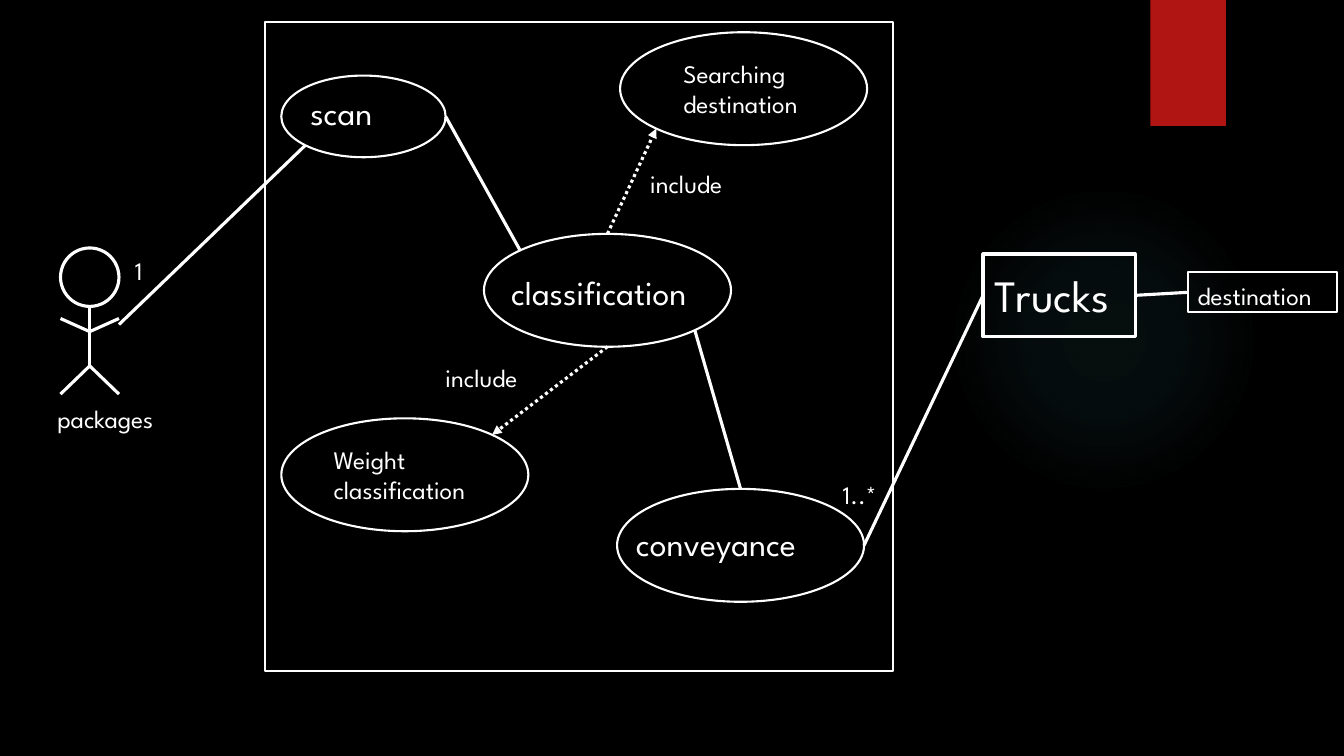
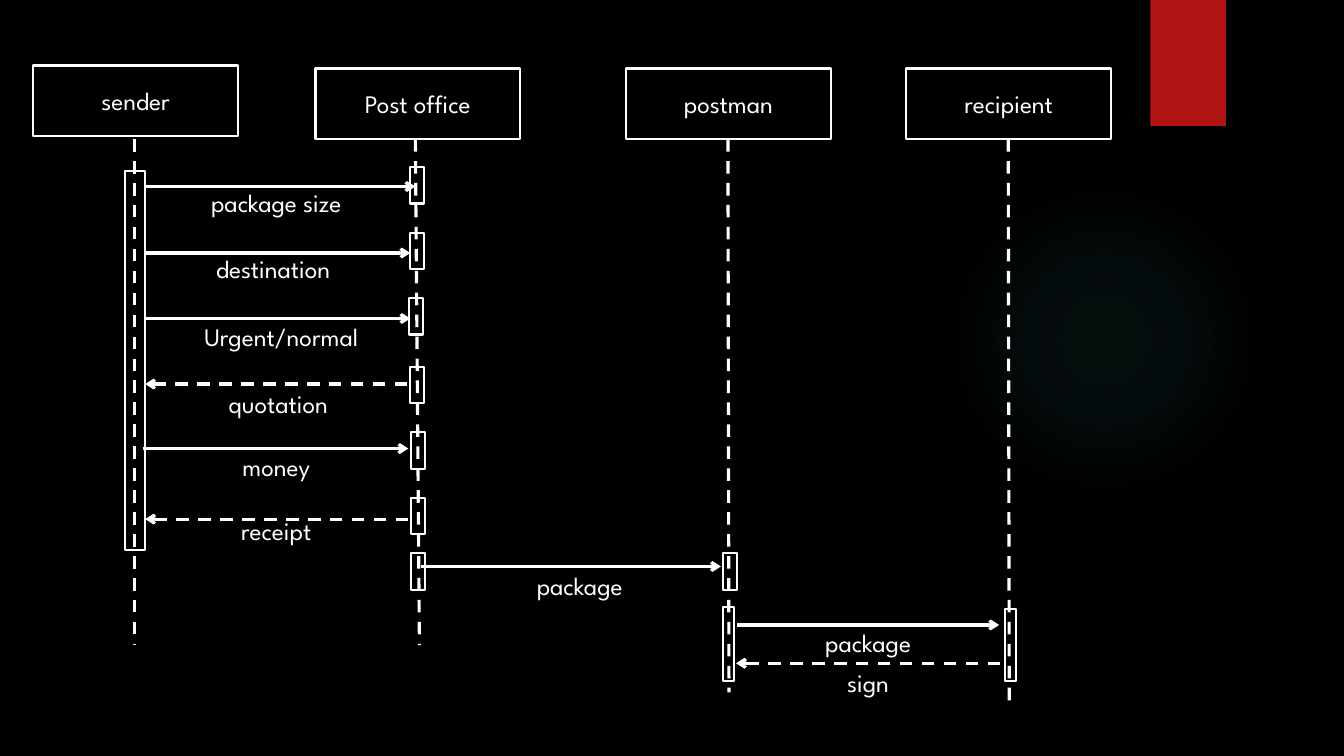
from math import cos, radians, sin
from typing import NamedTuple

from lxml.etree import SubElement
from pptx import Presentation
from pptx.dml.color import RGBColor
from pptx.enum.dml import MSO_LINE as Dash
from pptx.enum.shapes import MSO_CONNECTOR as Link, MSO_SHAPE as Preset
from pptx.enum.text import MSO_ANCHOR as Anchor, PP_ALIGN as Align
from pptx.oxml.ns import qn
from pptx.util import Inches, Pt

BLACK = RGBColor(0x00, 0x00, 0x00)
WHITE = RGBColor(0xFF, 0xFF, 0xFF)
RED = RGBColor(0xB0, 0x15, 0x13)
TEAL = RGBColor(0x50, 0xB9, 0xC1)
FONT = "League Spartan"
THIN, THICK = 1.5, 2.25
BUBBLE = (2.45, 1.12)


class Box(NamedTuple):
    left: float
    top: float
    width: float
    height: float

    def at(self, x, y):
        return self.left + x, self.top + y

    def inner(self, x, y, width, height):
        return Box(self.left + x, self.top + y, width, height)

    def rim(self, degrees):
        return (self.left + self.width / 2 * (1 + cos(radians(degrees))),
                self.top + self.height / 2 * (1 + sin(radians(degrees))))

    def side(self, x, y):
        return self.left + self.width * x, self.top + self.height * y


def write(frame, text, size=18, align=Align.LEFT, anchor=Anchor.TOP):
    frame.word_wrap = True
    frame.vertical_anchor = anchor
    for index, words in enumerate(text.split("\n")):
        line = frame.paragraphs[0] if index == 0 else frame.add_paragraph()
        line.alignment = align
        run = line.add_run()
        run.text = words
        run.font.name = FONT
        run.font.size = Pt(size)
        run.font.color.rgb = WHITE


def label(slide, box, text, **style):
    frame = slide.shapes.add_textbox(*map(Inches, box)).text_frame
    write(frame, text, **style)


def outline(slide, box, preset=Preset.RECTANGLE, weight=THIN):
    shape = slide.shapes.add_shape(preset, *map(Inches, box))
    shape.shadow.inherit = False
    shape.fill.background()
    shape.line.color.rgb = WHITE
    shape.line.width = Pt(weight)
    return shape


def connect(slide, start, end, dash=None, head=None):
    link = slide.shapes.add_connector(Link.STRAIGHT, *map(Inches, (*start, *end)))
    link.line.color.rgb = WHITE
    link.line.width = Pt(THICK)
    if dash:
        link.line.dash_style = dash
    if head:
        SubElement(link.line._get_or_add_ln(), qn("a:tailEnd"), type=head)
    SubElement(link._element.spPr, qn("a:effectLst"))


def glow(slide, box):
    halo = outline(slide, box, Preset.OVAL)
    halo.line.fill.background()
    halo.fill.gradient()
    gradient = halo._element.spPr.find(qn("a:gradFill"))
    for child in list(gradient):
        gradient.remove(child)
    stops = SubElement(gradient, qn("a:gsLst"))
    for position, opacity in ((0, 7), (36, 6), (69, 0)):
        stop = SubElement(stops, qn("a:gs"), pos=str(position * 1000))
        color = SubElement(stop, qn("a:srgbClr"), val=str(TEAL))
        SubElement(color, qn("a:alpha"), val=str(opacity * 1000))
    radial = SubElement(gradient, qn("a:path"))
    radial.set("path", "circle")
    SubElement(radial, qn("a:fillToRect"),
               {side: "50000" for side in ("l", "t", "r", "b")})


def themed_slide(deck):
    slide = deck.slides.add_slide(deck.slide_layouts[6])
    slide.background.fill.solid()
    slide.background.fill.fore_color.rgb = BLACK
    glow(slide, Box(9.41, 1.83, 3.08, 3.08))
    ribbon = outline(slide, Box(11.41, 0, 0.75, 1.25))
    ribbon.fill.solid()
    ribbon.fill.fore_color.rgb = RED
    ribbon.line.fill.background()
    return slide


def actor(slide, box, name):
    outline(slide, box.inner(0, 0, 0.58, 0.58), Preset.OVAL, THICK)
    limbs = (((0.29, 0.59), (0.29, 1.17)),
             ((0.29, 0.83), (0.58, 0.7)), ((0, 0.7), (0.29, 0.83)),
             ((0.29, 1.17), (0.58, 1.45)), ((0, 1.45), (0.29, 1.17)))
    for start, end in limbs:
        connect(slide, box.at(*start), box.at(*end))
    label(slide, box.inner(-0.13, 1.49, 1.45, 0.4), name)


def use_case(slide, box, text, dx, dy, size=24):
    outline(slide, box, Preset.OVAL)
    label(slide, box.inner(dx, dy, box.width - dx, 0.5), text, size=size)


def system(slide, box):
    outline(slide, box)
    scan = box.inner(0.16, 0.53, 1.63, 0.81)
    classification = box.inner(2.17, 2.1, *BUBBLE)
    search = box.inner(3.52, 0.1, *BUBBLE)
    weight = box.inner(0.16, 3.93, *BUBBLE)
    conveyance = box.inner(3.49, 4.63, *BUBBLE)
    use_case(slide, scan, "scan", 0.19, 0.11)
    use_case(slide, classification, "classification", 0.17, 0.33)
    use_case(slide, search, "Searching\ndestination", 0.53, 0.21, 18)
    use_case(slide, weight, "Weight\nclassification", 0.42, 0.21, 18)
    use_case(slide, conveyance, "conveyance", 0.09, 0.29)
    connect(slide, scan.rim(0), classification.rim(225))
    connect(slide, classification.rim(45), conveyance.rim(270))
    includes = ((270, search.rim(135), (3.72, 1.4)),
                (90, weight.rim(315), (1.69, 3.33)))
    for degrees, target, spot in includes:
        connect(slide, classification.rim(degrees), target,
                Dash.ROUND_DOT, "triangle")
        label(slide, box.inner(*spot, 1.11, 0.4), "include")
    return scan, conveyance


def delivery(slide, box):
    trucks = box.inner(0, 0, 1.51, 0.82)
    destination = box.inner(2.03, 0.18, 1.48, 0.4)
    outline(slide, trucks, weight=THICK)
    label(slide, trucks.inner(0.02, 0.09, 1.49, 0.64), "Trucks", size=32)
    outline(slide, destination)
    label(slide, destination.inner(0, 0.03, 1.56, 0.4), "destination")
    connect(slide, trucks.side(1, 0.5), destination.side(0, 0.5))
    return trucks


def use_case_slide(deck):
    slide = themed_slide(deck)
    person = Box(0.6, 2.46, 0.58, 1.45)
    actor(slide, person, "packages")
    scan, conveyance = system(slide, Box(2.63, 0.22, 6.23, 6.44))
    trucks = delivery(slide, Box(9.75, 2.52, 3.51, 0.82))
    connect(slide, person.at(0.58, 0.76), scan.rim(135))
    connect(slide, conveyance.rim(0), trucks.side(0, 0.5))
    label(slide, person.inner(0.64, 0.02, 0.34, 0.4), "1")
    label(slide, conveyance.inner(2.14, -0.14, 0.65, 0.4), "1..*")


def participant(slide, box, name, line_start, line_end):
    head = outline(slide, box)
    write(head.text_frame, name, align=Align.CENTER, anchor=Anchor.MIDDLE)
    connect(slide, line_start, line_end, Dash.DASH)


def message(slide, box, text, start, end, y, center, label_top):
    dash = Dash.DASH if end < start else None
    connect(slide, box.at(start, y), box.at(end, y), dash, "arrow")
    label(slide, box.inner(center - 1.1, label_top, 2.2, 0.4), text,
          align=Align.CENTER)


def sequence(slide, box):
    participants = (("sender", 0, 0, 1, 1, 5.75),
                    ("Post office", 2.8, 0.03, 3.79, 3.83, 5.75),
                    ("postman", 5.88, 0.03, 6.89, 6.9, 6.22),
                    ("recipient", 8.66, 0.03, 9.67, 9.68, 6.3))
    for name, left, top, start, end, bottom in participants:
        participant(slide, box.inner(left, top, 2.03, 0.7), name,
                    box.at(start, 0.73), box.at(end, bottom))

    office_bars = ((3.74, 1.01), (3.74, 1.66), (3.73, 2.31), (3.74, 2.99),
                   (3.75, 3.64), (3.75, 4.29), (3.75, 4.84))
    bars = [(*spot, 0.14, 0.36) for spot in (*office_bars, (6.84, 4.84))]
    bars += [(0.91, 1.05, 0.2, 3.76), (6.84, 5.37, 0.11, 0.74),
             (9.64, 5.39, 0.11, 0.72)]
    for bar in bars:
        outline(slide, box.inner(*bar))

    messages = (("package size", 1.1, 3.79, 1.2, 2.41, 1.16),
                ("destination", 1.1, 3.74, 1.86, 2.38, 1.81),
                ("Urgent/normal", 1.11, 3.74, 2.51, 2.46, 2.49),
                ("quotation", 3.71, 1.11, 3.16, 2.43, 3.15),
                ("money", 1.09, 3.72, 3.8, 2.41, 3.78),
                ("receipt", 3.72, 1.11, 4.5, 2.41, 4.41),
                ("package", 3.85, 6.82, 4.97, 5.42, 4.96),
                ("package", 6.98, 9.58, 5.55, 8.28, 5.52),
                ("sign", 9.59, 6.97, 5.93, 8.28, 5.92))
    for row in messages:
        message(slide, box, *row)


def sequence_slide(deck):
    slide = themed_slide(deck)
    sequence(slide, Box(0.33, 0.65, 10.69, 6.3))


def main():
    deck = Presentation()
    deck.slide_width = Inches(13.33)
    deck.slide_height = Inches(7.5)
    use_case_slide(deck)
    sequence_slide(deck)
    deck.save("out.pptx")


if __name__ == "__main__":
    main()
